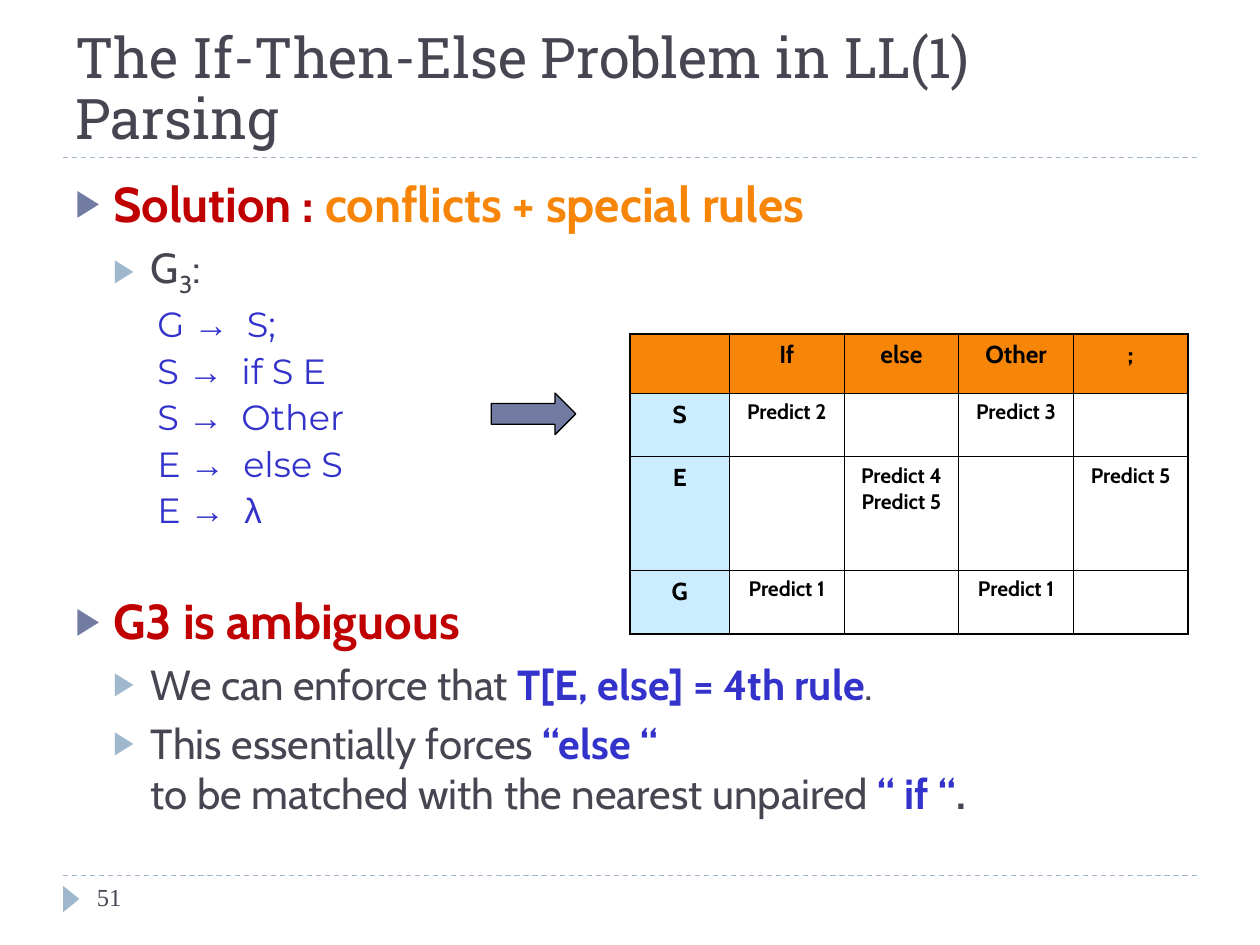
from dataclasses import dataclass

from lxml.etree import SubElement
from pptx import Presentation
from pptx.dml.color import RGBColor as Rgb
from pptx.enum.dml import MSO_LINE as Dash
from pptx.enum.shapes import MSO_CONNECTOR as Connector, MSO_SHAPE as Shape
from pptx.enum.text import MSO_ANCHOR as Anchor, PP_ALIGN as Align
from pptx.oxml.ns import qn
from pptx.util import Inches, Pt


@dataclass(frozen=True)
class Theme:
    ink: str = "464653"
    red: str = "C00000"
    orange: str = "F78507"
    blue: str = "3333CC"
    slate: str = "727CA3"
    mist: str = "9FB8CD"
    sky: str = "CCECFF"
    black: str = "000000"
    heading: str = "Roboto Slab"
    body: str = "Cabin"
    grammar: str = "Montserrat"
    symbol: str = "Arial"
    number: str = "Times New Roman"
    title: int = 32
    first: int = 28
    second: int = 24
    third: int = 20
    small: int = 14
    tiny: int = 12


theme = Theme()
deck = Presentation()
deck.slide_width, deck.slide_height = Inches(10), Inches(7.5)
page = deck.slides.add_slide(deck.slide_layouts[6])
column, row = deck.slide_width / 40, deck.slide_height / 30


def area(left, top, width, height):
    return [round(share * unit) for share, unit in zip((left, top, width, height), (column, row) * 2)]


def write(para, text, name, size, color, bold=False, subscript=False):
    for index, line in enumerate(text.split("\n")):
        if index:
            para.add_line_break()
        if line:
            span = para.add_run()
            span.text = line
            span.font.name, span.font.size, span.font.bold = name, Pt(size), bold
            span.font.color.rgb = Rgb.from_string(color)
            if subscript:
                span.font._element.set("baseline", "-25000")


for level in (27.8, 5):
    left, top, right, bottom = area(2, level, 38, level)
    rule = page.shapes.add_connector(Connector.STRAIGHT, left, top, right, bottom)
    rule.line.color.rgb = Rgb.from_string(theme.mist)
    rule.line.width = Pt(0.75)
    rule.line.dash_style = Dash.DASH
    SubElement(rule._element.spPr, qn("a:effectLst"))

marker = page.shapes.add_shape(Shape.ISOSCELES_TRIANGLE, *area(1.84, 28.28, 0.84, 0.52))
marker.rotation = 90
arrow = page.shapes.add_shape(Shape.RIGHT_ARROW, *area(15.6, 12.48, 2.68, 1.32))
for shape, color in ((marker, theme.mist), (arrow, theme.slate)):
    shape.shadow.inherit = False
    shape.fill.solid()
    shape.fill.fore_color.rgb = Rgb.from_string(color)
marker.line.fill.background()
arrow.line.color.rgb = Rgb.from_string(theme.black)
arrow.line.width = Pt(0.75)

title, body, number = [
    page.shapes.add_textbox(*place).text_frame
    for place in (area(2, 0.68, 36, 4.32), area(2, 5.32, 36, 21.6), area(2.68, 27.8, 8.68, 1.6))
]
for frame in (title, body, number):
    frame.word_wrap = True
title.vertical_anchor = Anchor.BOTTOM
title.paragraphs[0].line_spacing = 0.9
write(title.paragraphs[0], "The If-Then-Else Problem in LL(1) Parsing", theme.heading, theme.title, theme.ink)
write(number.paragraphs[0], "51", theme.number, theme.small, theme.ink)

major = (theme.body, theme.first)
plain = (theme.body, theme.second, theme.ink)
strong = (theme.body, theme.second, theme.blue, True)
letters = (theme.grammar, theme.third, theme.blue)
signs = (theme.symbol, theme.third, theme.blue)
rules = [("G", "S;"), ("S", "if S E"), ("S", "Other"), ("E", "else S")]
outline = [
    (0, 0, [("Solution : ", *major, theme.red, True), ("conflicts + special rules", *major, theme.orange, True)]),
    (1, 5, [("G", *plain), ("3", *plain, False, True), (":", *plain)]),
    *[(2, 5, [(f"{head} ", *letters), ("→", *signs), (f"  {tail}", *letters)]) for head, tail in rules],
    (2, 5, [("E ", *letters), ("→  λ", *signs)]),
    (0, 34, [("G3 is ambiguous", *major, theme.red, True)]),
    (1, 5, [("We can enforce that ", *plain), ("T[E, else] = 4th rule", *strong), (".", *plain)]),
    (1, 5, [
        ("This essentially forces ", *plain),
        ("“else “ \n", *strong),
        ("to be matched with the nearest unpaired ", *plain),
        ("“ if “", *strong),
        (".", *plain, True),
    ]),
]
for index, (level, space, spans) in enumerate(outline):
    para = body.add_paragraph() if index else body.paragraphs[0]
    para.level = level
    para.space_before = Pt(space)
    properties = para._p.get_or_add_pPr()
    properties.set("marL", str(round(1.2 * column * (level + 1))))
    properties.set("indent", str(round(-column * (1 if level == 2 else 1.2))))
    if level == 2:
        para.line_spacing = 0.9
        SubElement(properties, qn("a:buNone"))
    else:
        tint = SubElement(properties, qn("a:buClr"))
        SubElement(tint, qn("a:srgbClr"), val=(theme.slate, theme.mist)[level])
        SubElement(properties, qn("a:buSzPct"), val="76000")
        SubElement(properties, qn("a:buFont"), typeface=theme.symbol)
        SubElement(properties, qn("a:buChar"), char="▶")
    for span in spans:
        write(para, *span)

predictions = [
    ["", "If", "else", "Other", ";"],
    ["S", "Predict 2", "", "Predict 3", ""],
    ["E", "", "Predict 4\nPredict 5", "", "Predict 5"],
    ["G", "Predict 1", "", "Predict 1", ""],
]
widths = [3.16] + [3.64] * 4
heights = [1.88, 2.02, 3.6, 2.02]
table = page.shapes.add_table(4, 5, *area(20, 10.6, sum(widths), sum(heights))).table
table.first_row = table.horz_banding = False
for slot, width in zip(table.columns, widths):
    slot.width = round(width * column)
for slot, height in zip(table.rows, heights):
    slot.height = round(height * row)
for y, entries in enumerate(predictions):
    for x, text in enumerate(entries):
        cell = table.cell(y, x)
        edges = {"a:lnL": x == 0, "a:lnR": x == 4, "a:lnT": y == 0, "a:lnB": y == 3}
        for tag, outer in edges.items():
            edge = SubElement(cell._tc.get_or_add_tcPr(), qn(tag), w=str(Pt(1.08 if outer else 0.45)))
            SubElement(SubElement(edge, qn("a:solidFill")), qn("a:srgbClr"), val=theme.black)
        if x and y:
            cell.fill.background()
        else:
            cell.fill.solid()
            cell.fill.fore_color.rgb = Rgb.from_string(theme.sky if y else theme.orange)
        para = cell.text_frame.paragraphs[0]
        para.alignment = Align.CENTER
        write(para, text, theme.body, theme.tiny if x and y else theme.small, theme.black, True)

deck.save("out.pptx")
